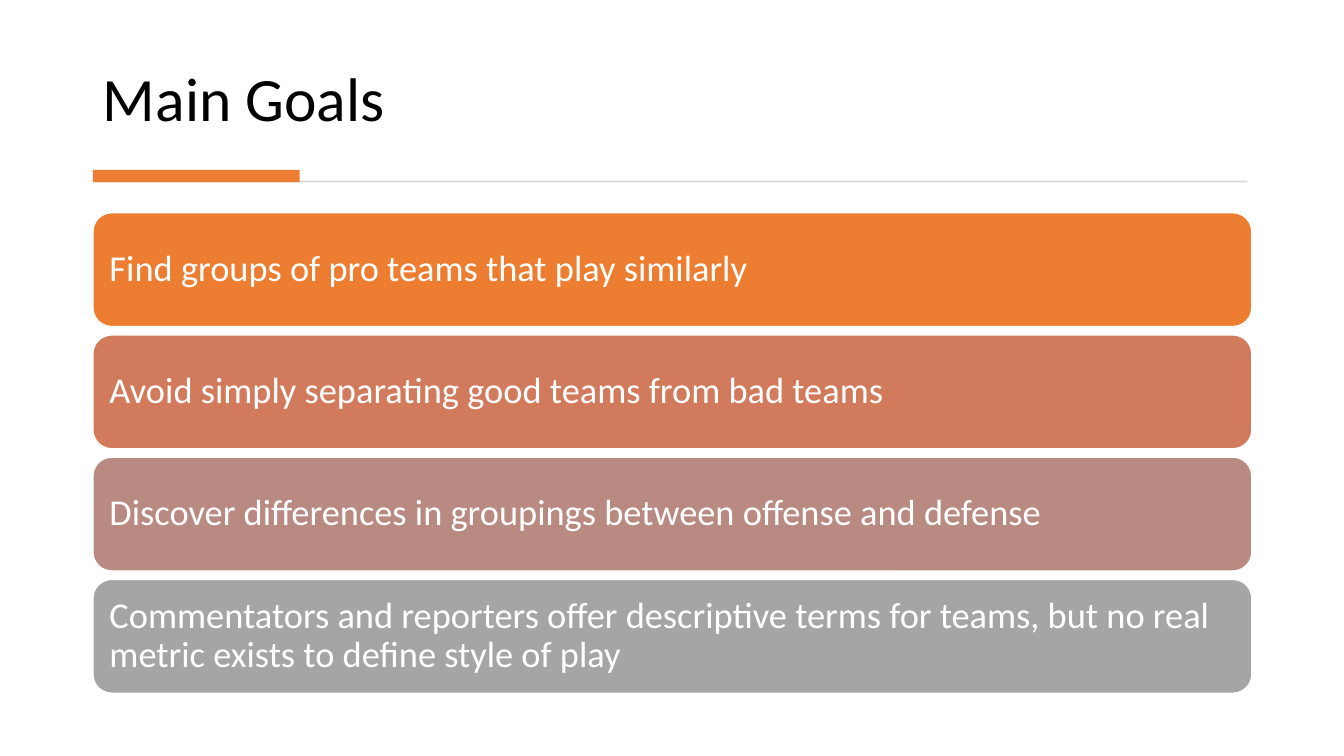
from pptx import Presentation
from pptx.dml.color import RGBColor
from pptx.enum.shapes import MSO_SHAPE
from pptx.enum.text import MSO_ANCHOR, PP_ALIGN
from pptx.util import Cm, Pt

RECT, ROUNDED = MSO_SHAPE.RECTANGLE, MSO_SHAPE.ROUNDED_RECTANGLE
MIDDLE, BOTTOM = MSO_ANCHOR.MIDDLE, MSO_ANCHOR.BOTTOM
LEFT = PP_ALIGN.LEFT

THEME = {
    "font": "Calibri",
    "title_size": Pt(44),
    "goal_size": Pt(26),
    "title": RGBColor.from_string("000000"),
    "white": RGBColor.from_string("FFFFFF"),
    "rule": RGBColor.from_string("D5D5D5"),
    "accent": RGBColor.from_string("ED7D31"),
}

GOALS = [
    ("Find groups of pro teams that play similarly", "ED7D31"),
    ("Avoid simply separating good teams from bad teams", "D17B5C"),
    ("Discover differences in groupings between offense and defense", "B98A82"),
    ("Commentators and reporters offer descriptive terms for teams, "
     "but no real metric exists to define style of play", "A5A5A5"),
]
MARGIN, GOAL_TOP, GOAL_HEIGHT, GOAL_PITCH = 2.34, 5.36, 2.87, 3.08


def add_block(s, kind, left, top, width, height, color):
    sp = s.shapes.add_shape(kind, Cm(left), Cm(top), Cm(width), Cm(height))
    sp.shadow.inherit = False
    sp.fill.solid()
    sp.fill.fore_color.rgb = color
    sp.line.fill.background()
    return sp


def write_text(tf, text, size, color, anchor):
    tf.word_wrap = True
    tf.vertical_anchor = anchor
    p = tf.paragraphs[0]
    p.text = text
    p.alignment = LEFT
    p.line_spacing = 0.9
    p.font.name = THEME["font"]
    p.font.size = size
    p.font.color.rgb = color


prs = Presentation()
prs.slide_width, prs.slide_height = Cm(33.87), Cm(19.05)
s = prs.slides.add_slide(prs.slide_layouts[5])

title = s.shapes.title
title.left, title.top, title.width, title.height = Cm(MARGIN), Cm(0.71), Cm(29.18), Cm(2.82)
write_text(title.text_frame, "Main Goals", THEME["title_size"], THEME["title"], BOTTOM)

add_block(s, RECT, 2.41, 4.55, 29.03, 0.05, THEME["rule"])
add_block(s, RECT, MARGIN, 4.28, 5.21, 0.31, THEME["accent"])

for i, (goal, color) in enumerate(GOALS):
    sp = add_block(s, ROUNDED, MARGIN, GOAL_TOP + i * GOAL_PITCH, 29.21, GOAL_HEIGHT,
                   RGBColor.from_string(color))
    sp.line.color.rgb = THEME["white"]
    sp.line.width = Pt(1)
    tf = sp.text_frame
    tf.margin_left = tf.margin_right = tf.margin_top = tf.margin_bottom = Cm(0.28)
    write_text(tf, goal, THEME["goal_size"], THEME["white"], MIDDLE)

prs.save("out.pptx")
